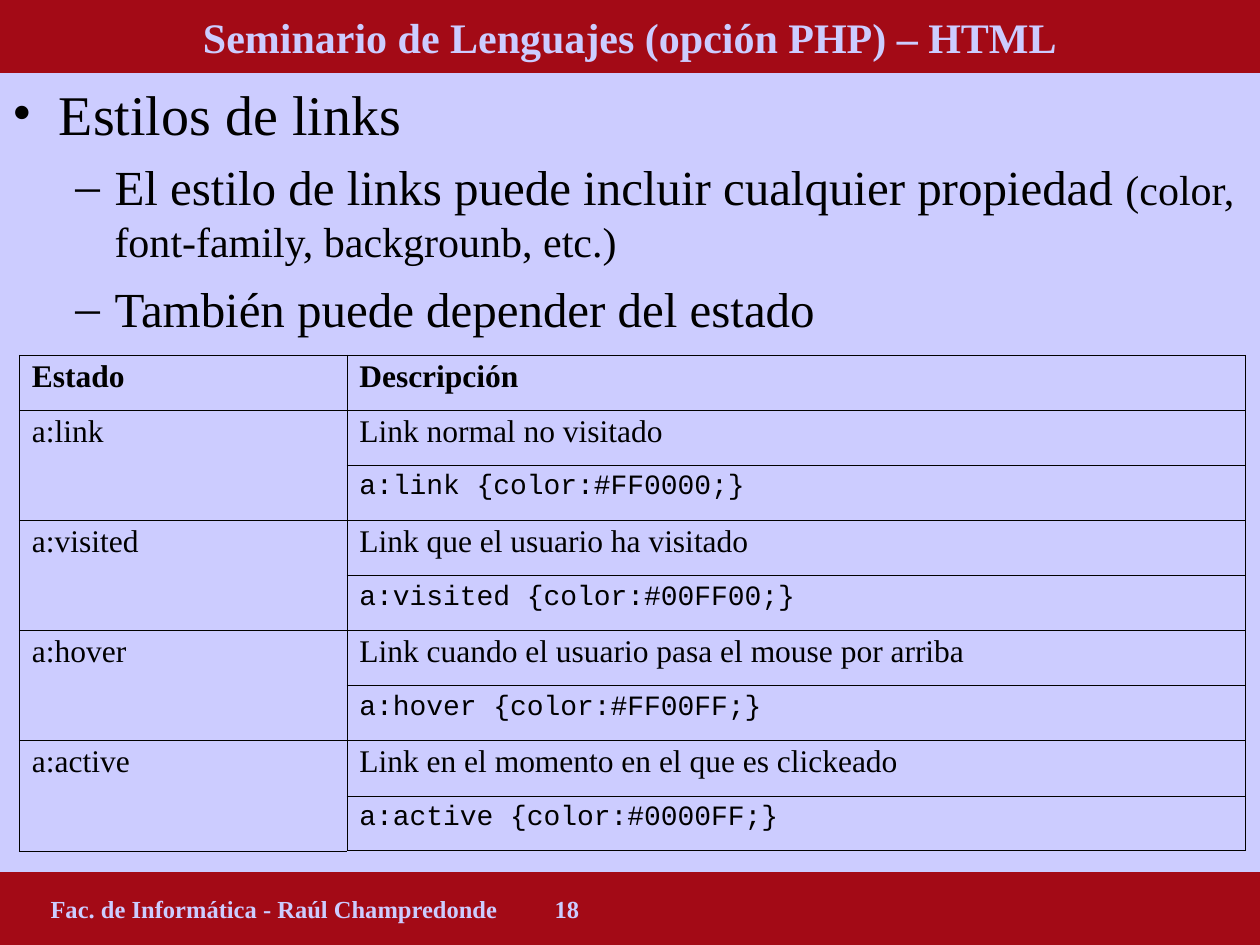
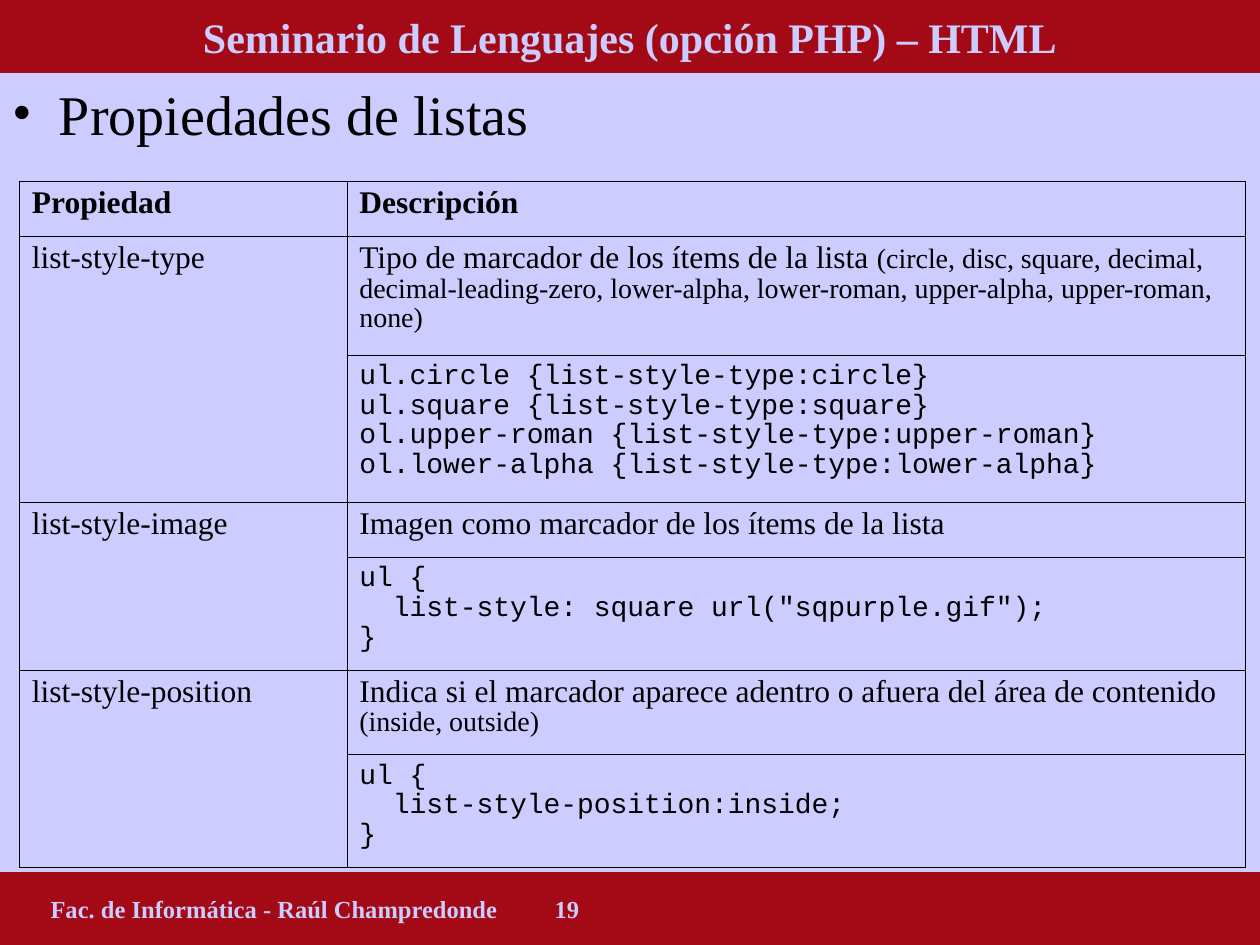
from lxml import etree
from pptx import Presentation, util as u
from pptx.dml.color import RGBColor
from pptx.enum import shapes, text
from pptx.oxml import ns

COLORS = {"background": "CCCCFF", "band": "A30A16", "band_text": "CCCCFF", "ink": "000000"}
SERIF, MONO = "Times New Roman", "Courier New"
WIDTH, HEIGHT, BAND = 25.4, 19.05, 1.47
COLUMNS = (6.6, 18.11)
OUTER, INNER = 0.5, 0.23
LEVELS = (("•", 0.94, 0.94), ("–", 2.06, 0.79))  # mark, left margin, hanging indent


def rgb(name):
    return RGBColor.from_string(COLORS[name])


def add_xml(parent, tag, **attrs):
    return etree.SubElement(parent, ns.qn(tag), attrs)


class Deck:
    def __init__(self):
        self.prs = Presentation()
        self.prs.slide_width, self.prs.slide_height = u.Cm(WIDTH), u.Cm(HEIGHT)
        self.s = None

    def slide(self, number):
        self.s = self.prs.slides.add_slide(self.prs.slide_layouts[6])
        fill = self.s.background.fill
        fill.solid()
        fill.fore_color.rgb = rgb("background")
        p = self.band(0, "Seminario de Lenguajes (opción PHP) – HTML", 24)
        p.alignment = text.PP_ALIGN.CENTER
        p = self.band(HEIGHT - BAND, f"Fac. de Informática - Raúl Champredonde\t{number}", 14)
        p.alignment = text.PP_ALIGN.LEFT
        pPr = p._p.get_or_add_pPr()
        pPr.set("marL", str(u.Cm(0.77)))
        pPr.set("indent", "0")
        add_xml(add_xml(pPr, "a:tabLst"), "a:tab", pos=str(u.Cm(24.13)), algn="r")

    def style(self, p, size, font=SERIF, color="ink", bold=False):
        for r in p.runs:
            r.font.size, r.font.name, r.font.bold = u.Pt(size), font, bold
            r.font.color.rgb = rgb(color)

    def add_parts(self, p, parts, **look):
        """Fill a paragraph with (text, size) parts."""
        for words, _ in parts:
            p.add_run().text = words
        self.style(p, parts[0][1], **look)
        for r, (_, size) in zip(p.runs, parts):
            r.font.size = u.Pt(size)

    def band(self, top, words, size):
        sp = self.s.shapes.add_shape(shapes.MSO_SHAPE.RECTANGLE, 0, u.Cm(top), u.Cm(WIDTH), u.Cm(BAND))
        sp.shadow.inherit = False
        sp.fill.solid()
        sp.fill.fore_color.rgb = rgb("band")
        sp.line.fill.background()
        tf = sp.text_frame
        tf.vertical_anchor = text.MSO_ANCHOR.MIDDLE
        p = tf.paragraphs[0]
        p.text = words
        self.style(p, size, color="band_text", bold=True)
        return p

    def bullets(self, items):
        """Add an outline of (level, space before, parts) items."""
        box = self.s.shapes.add_textbox(0, u.Cm(BAND), u.Cm(WIDTH), u.Cm(HEIGHT - 2 * BAND))
        tf = box.text_frame
        tf.word_wrap = True
        for i, (level, before, parts) in enumerate(items):
            p = tf.add_paragraph() if i else tf.paragraphs[0]
            mark, margin, hanging = LEVELS[level]
            p.level = level
            p.space_before = u.Pt(before)
            pPr = p._p.get_or_add_pPr()
            pPr.set("marL", str(u.Cm(margin)))
            pPr.set("indent", str(-u.Cm(hanging)))
            add_xml(add_xml(pPr, "a:buClr"), "a:srgbClr", val=COLORS["ink"])
            add_xml(pPr, "a:buFont", typeface=SERIF)
            add_xml(pPr, "a:buChar", char=mark)
            self.add_parts(p, parts)

    def borders(self, cell, row, col, last_row):
        tcPr = cell._tc.get_or_add_tcPr()
        edges = {"L": col == 0, "R": col == 1, "T": row == 0, "B": row == last_row}
        for side, outer in edges.items():
            ln = add_xml(tcPr, f"a:ln{side}", w=str(u.Pt(OUTER if outer else INNER)))
            add_xml(add_xml(ln, "a:solidFill"), "a:srgbClr", val=COLORS["ink"])

    def table(self, top, heights, heading, entries):
        """Add a table where each (name, description, code) entry takes two rows."""
        rows = len(heights)
        frame = self.s.shapes.add_table(rows, 2, u.Cm(0.39), u.Cm(top), u.Cm(sum(COLUMNS)), u.Cm(sum(heights)))
        tbl = frame.table
        tbl.first_row = tbl.horz_banding = False
        for col, width in zip(tbl.columns, COLUMNS):
            col.width = u.Cm(width)
        for i, height in enumerate(heights):
            tbl.rows[i].height = u.Cm(height)
            for j in range(2):
                cell = tbl.cell(i, j)
                self.borders(cell, i, j, rows - 1)
                cell.fill.background()
                cell.text_frame.paragraphs[0].line_spacing = 0.93

        def first(row, col):
            return tbl.cell(row, col).text_frame.paragraphs[0]

        for j, title in enumerate((heading, "Descripción")):
            self.add_parts(first(0, j), [(title, 18)], bold=True)
        for row, (name, description, code) in zip(range(1, rows, 2), entries):
            tbl.cell(row, 0).merge(tbl.cell(row + 1, 0))
            self.add_parts(first(row, 0), [(name, 18)])
            self.add_parts(first(row, 1), description)
            p = first(row + 1, 1)
            p.text = code
            p.line_spacing = 0.94
            self.style(p, 16, font=MONO)


def link_styles(deck):
    deck.slide(18)
    deck.bullets([
        (0, 0, [("Estilos de links", 32)]),
        (1, 6, [("El estilo de links puede incluir cualquier propiedad ", 28),
                ("(color, font-family, backgrounb, etc.)", 24)]),
        (1, 7, [("También puede depender del estado", 28)]),
    ])
    states = [
        ("link", "Link normal no visitado", "FF0000"),
        ("visited", "Link que el usuario ha visitado", "00FF00"),
        ("hover", "Link cuando el usuario pasa el mouse por arriba", "FF00FF"),
        ("active", "Link en el momento en el que es clickeado", "0000FF"),
    ]
    deck.table(7.16, [1.11] * 9, "Estado", [
        (f"a:{state}", [(description, 18)], f"a:{state} {{color:#{color};}}")
        for state, description, color in states
    ])


def list_properties(deck):
    deck.slide(19)
    deck.bullets([(0, 0, [("Propiedades de listas", 32)])])
    markers = [("ul", "circle"), ("ul", "square"), ("ol", "upper-roman"), ("ol", "lower-alpha")]
    deck.table(3.66, [1.11, 2.38, 2.97, 1.11, 2.28, 1.7, 2.28], "Propiedad", [
        ("list-style-type",
         [("Tipo de marcador de los ítems de la lista ", 18),
          ("(circle, disc, square, decimal, decimal-leading-zero, lower-alpha, "
           "lower-roman, upper-alpha, upper-roman, none)", 16)],
         "\n".join(f"{tag}.{m} {{list-style-type:{m}}}" for tag, m in markers)),
        ("list-style-image",
         [("Imagen como marcador de los ítems de la lista", 18)],
         'ul {\n  list-style: square url("sqpurple.gif");\n}'),
        ("list-style-position",
         [("Indica si el marcador aparece adentro o afuera del área de contenido ", 18),
          ("(inside, outside)", 16)],
         "ul {\n  list-style-position:inside;\n}"),
    ])


def main():
    deck = Deck()
    link_styles(deck)
    list_properties(deck)
    deck.prs.save("out.pptx")


if __name__ == "__main__":
    main()
